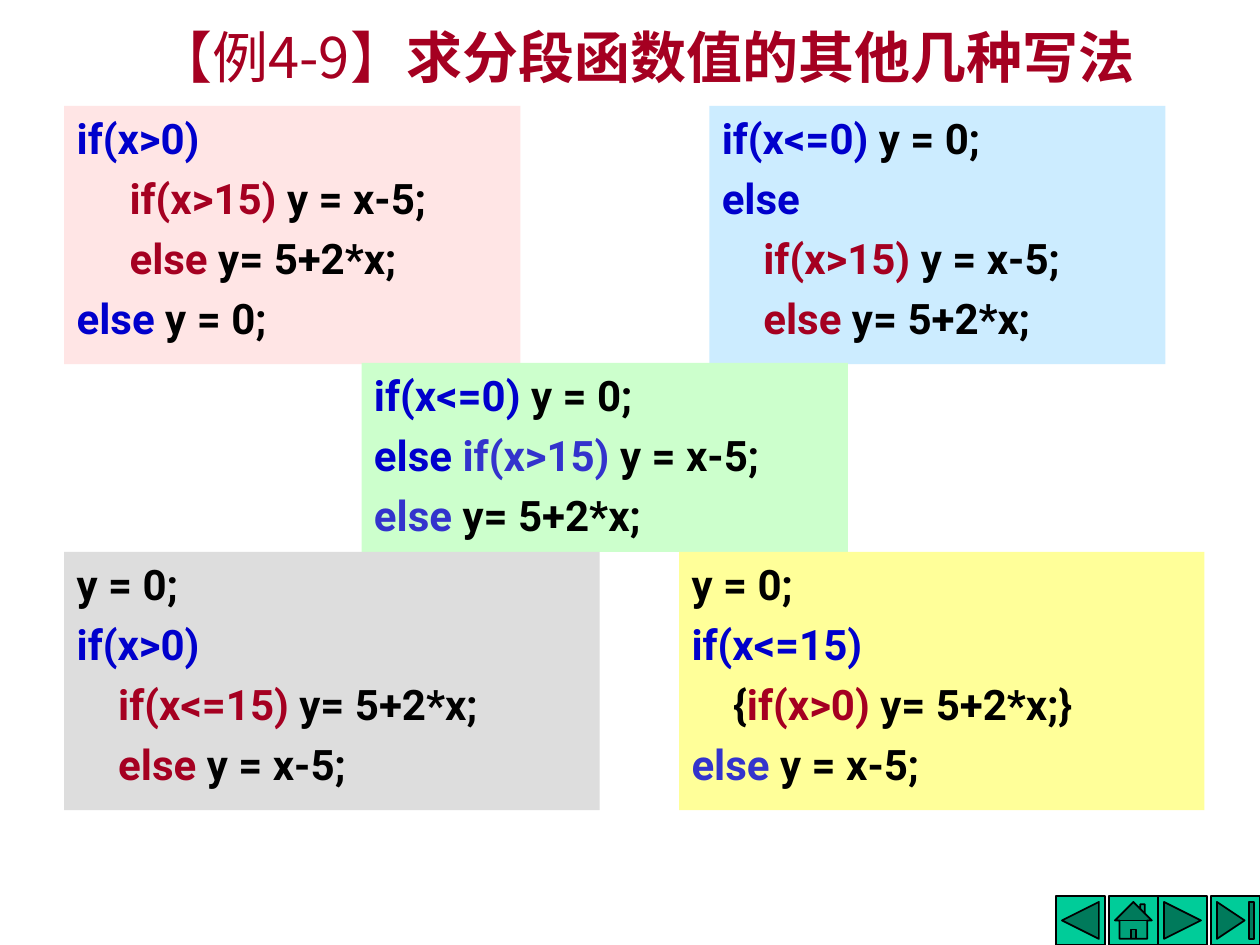
from lxml.etree import SubElement
from pptx import Presentation
from pptx.dml.color import RGBColor
from pptx.enum.shapes import MSO_SHAPE as Preset
from pptx.enum.text import MSO_ANCHOR as Anchor, MSO_AUTO_SIZE as AutoSize, PP_ALIGN as Align
from pptx.oxml.ns import qn
from pptx.util import Inches, Pt

BLACK = RGBColor(0x00, 0x00, 0x00)
BLUE = RGBColor(0x00, 0x00, 0xCC)
INDIGO = RGBColor(0x33, 0x33, 0xCC)
RED = RGBColor(0xA5, 0x00, 0x21)
GREEN = RGBColor(0x00, 0xCC, 0x99)
PINK_FILL = RGBColor(0xFF, 0xE5, 0xE5)
SKY_FILL = RGBColor(0xCC, 0xEC, 0xFF)
MINT_FILL = RGBColor(0xCC, 0xFF, 0xCC)
GREY_FILL = RGBColor(0xDD, 0xDD, 0xDD)
YELLOW_FILL = RGBColor(0xFF, 0xFF, 0x99)

CODE_FONT = "Roboto"
TITLE_FONT = "Noto Sans CJK SC"

# Each block: position, fill, and lines of (indent, runs)
BLOCKS = [
    ((0.51, 0.84, 3.62, 2.05), PINK_FILL, [
        (0, [("if(x>0)", BLUE)]),
        (0.42, [("if(x>15)", RED), (" y = x-5;", BLACK)]),
        (0.42, [("else", RED), (" y= 5+2*x;", BLACK)]),
        (0, [("else", BLUE), (" y = 0;", BLACK)]),
    ]),
    ((5.63, 0.84, 3.62, 2.05), SKY_FILL, [
        (0, [("if(x<=0)", BLUE), (" y = 0;", BLACK)]),
        (0, [("else", BLUE)]),
        (0.33, [("if(x>15)", RED), (" y = x-5;", BLACK)]),
        (0.33, [("else", RED), (" y= 5+2*x;", BLACK)]),
    ]),
    ((2.87, 2.88, 3.86, 1.5), MINT_FILL, [
        (0, [("if(x<=0)", BLUE), (" y = 0;", BLACK)]),
        (0, [("else ", BLUE), ("if(x>15)", INDIGO), (" y = x-5;", BLACK)]),
        (0, [("else", INDIGO), (" y= 5+2*x;", BLACK)]),
    ]),
    ((0.51, 4.38, 4.25, 2.05), GREY_FILL, [
        (0, [("y = 0;", BLACK)]),
        (0, [("if(x>0)", BLUE)]),
        (0.33, [("if(x<=15)", RED), (" y= 5+2*x;", BLACK)]),
        (0.33, [("else ", RED), ("y = x-5;", BLACK)]),
    ]),
    ((5.39, 4.38, 4.17, 2.05), YELLOW_FILL, [
        (0, [("y = 0;", BLACK)]),
        (0, [("if(x<=15)", BLUE)]),
        (0.33, [("{", BLACK), ("if(x>0)", RED), (" y= 5+2*x;}", BLACK)]),
        (0, [("else ", INDIGO), ("y = x-5;", BLACK)]),
    ]),
]

BUTTONS = [
    (8.38, Preset.ACTION_BUTTON_BACK_OR_PREVIOUS),
    (8.8, Preset.ACTION_BUTTON_HOME),
    (9.19, Preset.ACTION_BUTTON_FORWARD_OR_NEXT),
    (9.61, Preset.ACTION_BUTTON_END),
]


def add_run(paragraph, text, font_name, size, color, bold):
    run = paragraph.add_run()
    run.text = text
    font = run.font
    font.name, font.size, font.bold = font_name, Pt(size), bold
    font.color.rgb = color
    SubElement(font._element, qn("a:ea")).set("typeface", font_name)


def add_filled_shape(slide, preset, position, fill):
    shape = slide.shapes.add_shape(preset, *map(Inches, position))
    shape.shadow.inherit = False
    shape.fill.solid()
    shape.fill.fore_color.rgb = fill
    return shape


def add_title(slide):
    title = slide.shapes.title
    title.left, title.top = Inches(1.14), Inches(0.13)
    title.width, title.height = Inches(8.35), Inches(0.63)
    frame = title.text_frame
    frame.word_wrap = True
    frame.auto_size = AutoSize.NONE
    frame.vertical_anchor = Anchor.MIDDLE
    paragraph = frame.paragraphs[0]
    paragraph.alignment = Align.LEFT
    add_run(paragraph, "【例4-9】", TITLE_FONT, 32, RED, False)
    add_run(paragraph, "求分段函数值的其他几种写法", TITLE_FONT, 32, RED, True)


def add_code_block(slide, position, fill, lines):
    block = add_filled_shape(slide, Preset.RECTANGLE, position, fill)
    block.line.fill.background()
    frame = block.text_frame
    frame.word_wrap = True
    frame.vertical_anchor = Anchor.TOP
    for number, (indent, runs) in enumerate(lines):
        paragraph = frame.add_paragraph() if number else frame.paragraphs[0]
        paragraph.alignment = Align.LEFT
        paragraph.space_before = Pt(5.5 if number else 0)
        paragraph._p.get_or_add_pPr().set("marL", str(Inches(indent)))
        for text, color in runs:
            add_run(paragraph, text, CODE_FONT, 24, color, True)


def add_button(slide, left, preset):
    button = add_filled_shape(slide, preset, (left, 7.11, 0.39, 0.39), GREEN)
    button.line.color.rgb = BLACK
    button.line.width = Pt(1)


def main():
    presentation = Presentation()
    presentation.slide_width, presentation.slide_height = Inches(10), Inches(7.5)
    slide = presentation.slides.add_slide(presentation.slide_layouts[5])

    # Navigation buttons
    for left, preset in BUTTONS:
        add_button(slide, left, preset)

    # Title and code variants
    add_title(slide)
    for position, fill, lines in BLOCKS:
        add_code_block(slide, position, fill, lines)

    presentation.save("out.pptx")


main()
